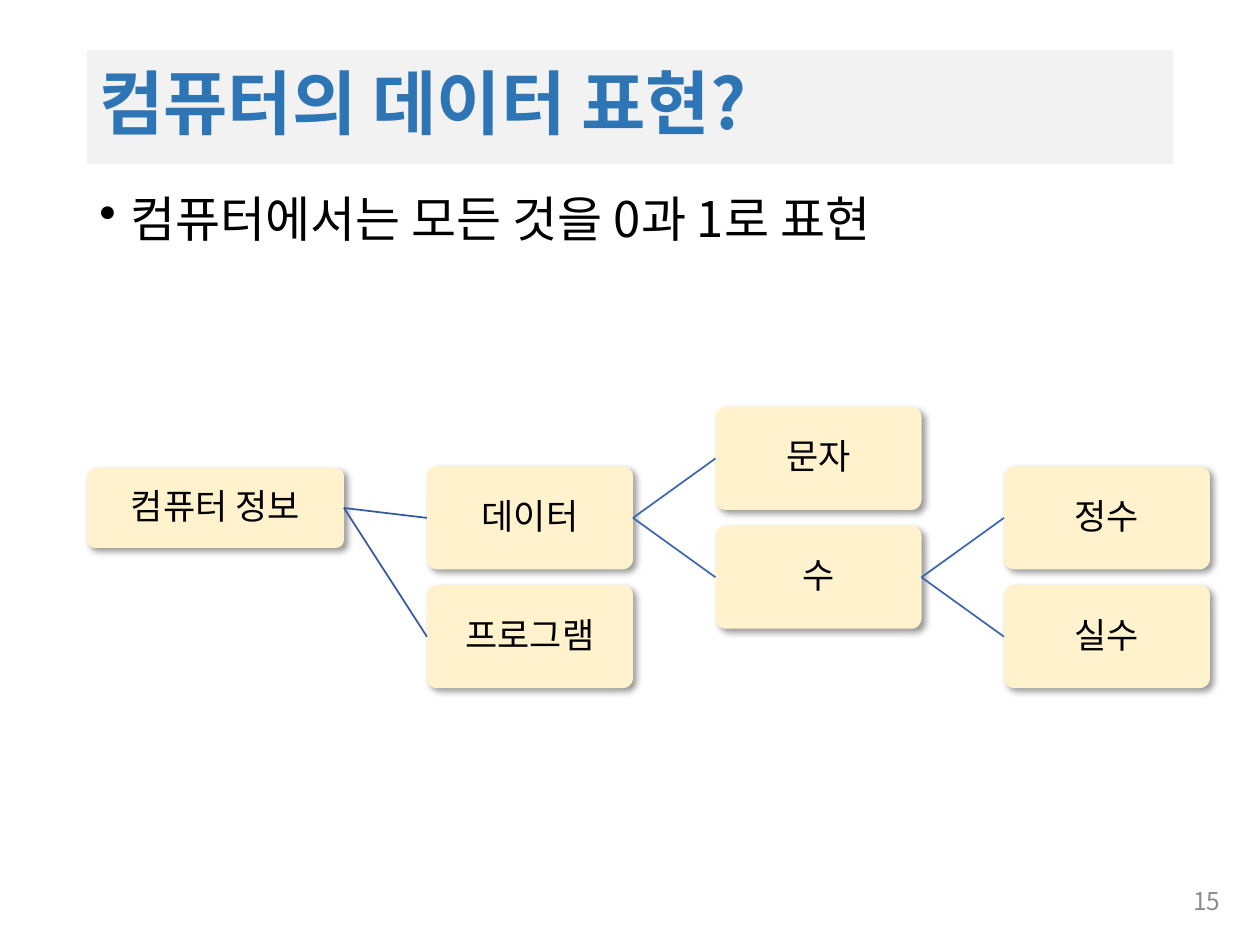
from lxml import etree
from pptx import Presentation, util as u
from pptx.dml.color import RGBColor
from pptx.enum import shapes, text
from pptx.oxml.ns import qn

PX = 914400 / 126
COLORS = {
    "band": "F2F2F2", "title": "2E75B6", "text": "000000", "number": "8C8C8C",
    "node": "FFF2CC", "root_link": "365B9D", "link": "3E67B2", "shadow": "000000",
}
KOREAN_FONT = "Noto Sans CJK KR"


def px(value):
    return u.Emu(round(value * PX))


def color(name):
    return RGBColor.from_string(COLORS[name])


class SlideBuilder:
    def __init__(self, slide):
        self.slide = slide

    def set_text(self, shape, words, size, ink, align=text.PP_ALIGN.LEFT,
                 font=KOREAN_FONT, bold=False, spacing=0.9,
                 anchor=text.MSO_ANCHOR.MIDDLE):
        frame = shape.text_frame
        frame.word_wrap = True
        frame.vertical_anchor = anchor
        paragraph = frame.paragraphs[0]
        paragraph.text = words
        paragraph.alignment = align
        paragraph.line_spacing = spacing
        paragraph.font.name = font
        paragraph.font.size = u.Pt(size)
        paragraph.font.bold = bold
        paragraph.font.color.rgb = color(ink)
        defaults = paragraph._p.pPr.find(qn("a:defRPr"))
        latin = defaults.find(qn("a:latin"))
        east_asian = etree.Element(qn("a:ea"), typeface=KOREAN_FONT)
        latin.addnext(east_asian)
        return paragraph

    def box(self, kind, left, top, width, height, fill):
        shape = self.slide.shapes.add_shape(
            kind, px(left), px(top), px(width), px(height))
        shape.shadow.inherit = False
        shape.fill.solid()
        shape.fill.fore_color.rgb = color(fill)
        shape.line.fill.background()
        return shape

    def title(self, words, *place):
        shape = self.box(shapes.MSO_SHAPE.RECTANGLE, *place, "band")
        self.set_text(shape, words, 40, "title", bold=True)

    def label(self, words, left, top, width, height, size, ink, **style):
        shape = self.slide.shapes.add_textbox(
            px(left), px(top), px(width), px(height))
        return self.set_text(shape, words, size, ink, **style)

    def bullet(self, words, *place):
        paragraph = self.label(words, *place, 28, "text",
                               anchor=text.MSO_ANCHOR.TOP)
        paragraph.space_before = u.Pt(10)
        properties = paragraph._p.pPr
        properties.set("marL", str(u.Inches(0.25)))
        properties.set("indent", str(-u.Inches(0.25)))
        mark = etree.Element(qn("a:buChar"), char="•")
        properties.find(qn("a:defRPr")).addprevious(mark)

    def node(self, words, *place):
        """Add a rounded tree box with a soft shadow to the lower right."""
        shape = self.box(shapes.MSO_SHAPE.ROUNDED_RECTANGLE, *place, "node")
        shape.adjustments[0] = 0.1
        effects = shape._element.spPr.find(qn("a:effectLst"))
        shadow = etree.SubElement(
            effects, qn("a:outerShdw"), blurRad=str(u.Pt(4)),
            dist=str(u.Pt(3)), dir="2700000", algn="tl", rotWithShape="0")
        tint = etree.SubElement(shadow, qn("a:srgbClr"), val=COLORS["shadow"])
        etree.SubElement(tint, qn("a:alpha"), val="40000")
        frame = shape.text_frame
        frame.margin_left = frame.margin_right = px(3)
        frame.margin_top = frame.margin_bottom = px(3)
        self.set_text(shape, words, 20, "text", text.PP_ALIGN.CENTER, "Calibri")
        return shape

    def link(self, parent, child, ink):
        """Join the right side of the parent to the left side of the child."""
        line = self.slide.shapes.add_connector(
            shapes.MSO_CONNECTOR.STRAIGHT, 0, 0, 0, 0)
        line.begin_connect(parent, 3)
        line.end_connect(child, 1)
        line.line.color.rgb = color(ink)
        line.line.width = u.Pt(1)
        etree.SubElement(line._element.spPr, qn("a:effectLst"))


def main():
    presentation = Presentation()
    presentation.slide_width = px(1260)
    presentation.slide_height = px(945)
    slide = presentation.slides.add_slide(presentation.slide_layouts[6])
    builder = SlideBuilder(slide)

    builder.title("컴퓨터의 데이터 표현?", 87, 50, 1086, 114)
    builder.bullet("컴퓨터에서는 모든 것을 0과 1로 표현", 87, 189, 1086, 663)
    builder.label("15", 950, 876, 283, 50, 14, "number",
                  align=text.PP_ALIGN.RIGHT, spacing=1.0)

    left, top, width, height = 427, 407, 206, 103
    column_step, half_row = 288.5, 59.4
    root = "컴퓨터 정보"
    nodes = {root: builder.node(root, 87, 468, 257, 80)}
    # Name, parent, column, and row counted in half steps
    tree = [
        ("데이터", root, 0, 1),
        ("프로그램", root, 0, 3),
        ("문자", "데이터", 1, 0),
        ("수", "데이터", 1, 2),
        ("정수", "수", 2, 1),
        ("실수", "수", 2, 3),
    ]
    for name, parent, column, row in tree:
        nodes[name] = builder.node(
            name, left + column * column_step, top + row * half_row,
            width, height)
        builder.link(nodes[parent], nodes[name],
                     "root_link" if parent == root else "link")

    presentation.save("out.pptx")


if __name__ == "__main__":
    main()
